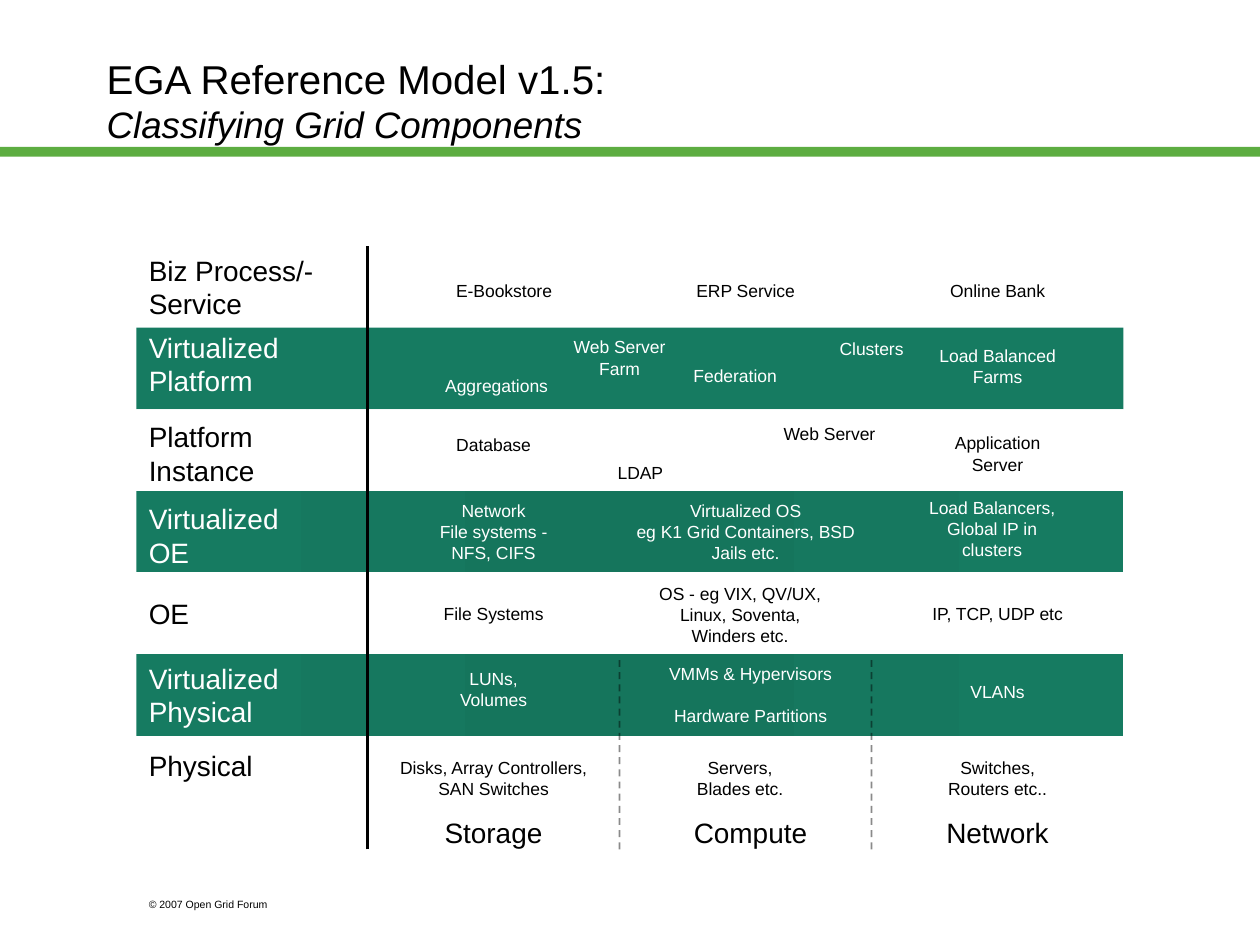
from copy import deepcopy

from lxml.etree import SubElement
from pptx import Presentation
from pptx.dml.color import RGBColor
from pptx.enum.dml import MSO_LINE
from pptx.enum.shapes import MSO_CONNECTOR, MSO_SHAPE
from pptx.enum.text import MSO_ANCHOR, PP_ALIGN
from pptx.oxml.ns import qn
from pptx.util import Cm, Pt

BLACK = RGBColor(0x00, 0x00, 0x00)
WHITE = RGBColor(0xFF, 0xFF, 0xFF)
LIME = RGBColor(0x5D, 0xAD, 0x41)
GREEN = RGBColor(0x16, 0x7B, 0x61)
DEEP_GREEN = RGBColor(0x15, 0x75, 0x5C)

ROW_HEIGHT = 1.645
STORAGE, COMPUTE, NETWORK = 7.2, 12.28, 17.36
NARROW, MEDIUM, WIDE = 2.97, 4.02, 5.08

# Each label: text, lines, offset from the middle of its row, width.
ROW_LABELS = [
    ("Biz Process/-Service", 2, 0, 4.65),
    ("Virtualized\nPlatform", 2, -0.09, 3.81),
    ("Platform Instance", 2, 0.07, 3.81),
    ("Virtualized\nOE", 2, 0.07, 3.81),
    ("OE", 1, 0, 3.81),
    ("Virtualized\nPhysical", 2, 0, 3.81),
    ("Physical", 1, -0.23, 3.81),
]

# Each component: row, text, lines, centre, offset from the middle of its row, width.
COMPONENTS = [
    (0, "E-Bookstore", 1, 7.41, 0.07, NARROW),
    (0, "ERP Service", 1, 12.5 - 0.22 + 0.0, 0.07, NARROW),
    (0, "Online Bank", 1, NETWORK, 0.07, NARROW),
    (1, "Aggregations", 1, 7.26, 0.35, NARROW),
    (1, "Web Server Farm", 2, 9.74, -0.22, NARROW),
    (1, "Federation", 1, 12.07, 0.15, NARROW),
    (1, "Clusters", 1, 14.82, -0.41, NARROW),
    (1, "Load Balanced Farms", 2, NETWORK, -0.04, NARROW),
    (2, "Database", 1, STORAGE, -0.12, NARROW),
    (2, "LDAP", 1, 10.16, 0.46, NARROW),
    (2, "Web Server", 1, 13.97, -0.33, NARROW),
    (2, "Application Server", 2, NETWORK, 0.07, NARROW),
    (3, "Network\nFile systems -\nNFS, CIFS", 3, STORAGE, 0, WIDE),
    (3, "Virtualized OS\neg K1 Grid Containers, BSD Jails etc.", 3, COMPUTE, 0, WIDE),
    (3, "Load Balancers, Global IP in\nclusters", 3, 17.25, -0.06, MEDIUM),
    (4, "File Systems", 1, STORAGE, 0, NARROW),
    (4, "OS - eg VIX, QV/UX, Linux, Soventa, Winders etc.", 3, 12.17, 0.03, MEDIUM),
    (4, "IP, TCP, UDP etc", 1, NETWORK, 0, 3.39),
    (5, "LUNs,\nVolumes", 2, STORAGE, -0.12, WIDE),
    (5, "VMMs & Hypervisors\nHardware Partitions", 3, 12.38, 0, 4.87),
    (5, "VLANs", 1, NETWORK, -0.06, 3.39),
    (6, "Disks, Array Controllers, SAN Switches", 2, STORAGE, 0.04, WIDE),
    (6, "Servers,\nBlades etc.", 2, 12.17, 0.04, MEDIUM),
    (6, "Switches, Routers etc..", 2, NETWORK, 0.04, NARROW),
]

COLUMN_LABELS = [("Storage", STORAGE), ("Compute", 12.38), ("Network", NETWORK)]


def add_text(slide, text, left, top, width, height, size, color=BLACK, align=PP_ALIGN.LEFT):
    """Add a wrapped, vertically centred text box and return its frame."""
    frame = slide.shapes.add_textbox(Cm(left), Cm(top), Cm(width), Cm(height)).text_frame
    frame.word_wrap = True
    frame.vertical_anchor = MSO_ANCHOR.MIDDLE
    frame.text = text
    for paragraph in frame.paragraphs:
        paragraph.alignment = align
        for run in paragraph.runs:
            run.font.name = "Arial"
            run.font.size = Pt(size)
            run.font.color.rgb = color
    return frame


def add_band(slide, left, top, width, height, color):
    """Add a plain rectangle without outline."""
    shape = slide.shapes.add_shape(MSO_SHAPE.RECTANGLE, Cm(left), Cm(top), Cm(width), Cm(height))
    shape.shadow.inherit = False
    shape.line.fill.background()
    shape.fill.solid()
    shape.fill.fore_color.rgb = color
    return shape


def shade_band(shape):
    """Give a band a gradient that is slightly deeper in the middle."""
    shape.fill.gradient()
    stop_list = shape.element.spPr.find(qn("a:gradFill")).find(qn("a:gsLst"))
    stop_list.append(deepcopy(stop_list[0]))
    shape.fill.gradient_angle = 180
    stops = zip(shape.fill.gradient_stops, (0, 0.5, 1), (GREEN, DEEP_GREEN, GREEN))
    for stop, position, color in stops:
        stop.position = position
        stop.color.rgb = color


def add_divider(slide, x, top, bottom, dashed):
    """Add a vertical line, solid or dashed and translucent."""
    line = slide.shapes.add_connector(MSO_CONNECTOR.STRAIGHT, Cm(x), Cm(bottom), Cm(x), Cm(top))
    line.line.color.rgb = BLACK
    line.line.width = Pt(1 if dashed else 1.5)
    if dashed:
        line.line.dash_style = MSO_LINE.DASH
        color = next(line.element.spPr.iter(qn("a:srgbClr")))
        SubElement(color, qn("a:alpha")).set("val", "46000")
    SubElement(line.element.spPr, qn("a:effectLst"))


def add_header(slide, left, top, width, height):
    """Add the green rule and the two-line title."""
    add_band(slide, 0, 2.96, 25.4, 0.2, LIME)
    frame = add_text(slide, "EGA Reference Model v1.5:\vClassifying Grid Components",
                     left, top, width, height, 23)
    subtitle = frame.paragraphs[0].runs[1]
    subtitle.font.size = Pt(21)
    subtitle.font.italic = True


def add_model(slide, left, top, width):
    """Add the layered grid of components."""
    middles = [top + ROW_HEIGHT * (row + 0.5) for row in range(len(ROW_LABELS))]
    text_colors = [WHITE if row % 2 else BLACK for row in range(len(ROW_LABELS))]
    for row in range(1, 6):
        band = add_band(slide, left, top + ROW_HEIGHT * row, width, ROW_HEIGHT,
                        GREEN if row % 2 else WHITE)
        if row in (3, 5):
            shade_band(band)
    for row, (text, lines, offset, label_width) in enumerate(ROW_LABELS):
        height = 0.26 + 0.68 * lines
        add_text(slide, text, left, middles[row] + offset - height / 2,
                 label_width, height, 16, text_colors[row])
    for row, text, lines, centre, offset, cell_width in COMPONENTS:
        height = 0.27 + 0.42 * lines
        frame = add_text(slide, text, left + centre - cell_width / 2,
                         middles[row] + offset - height / 2, cell_width, height,
                         10, text_colors[row], PP_ALIGN.CENTER)
        if text.startswith("VMMs"):
            frame.paragraphs[1].space_before = Pt(12)
    for text, centre in COLUMN_LABELS:
        add_text(slide, text, left + centre - 1.8, top + 11.34, 3.6, 0.94, 16,
                 align=PP_ALIGN.CENTER)
    for column in range(3):
        dashed = column > 0
        add_divider(slide, left + 4.66 + WIDE * column,
                    top + (8.3 if dashed else 0), top + 12.16, dashed)


def add_footer(slide, left, top, width, height):
    """Add the copyright line."""
    add_text(slide, "© 2007 Open Grid Forum", left, top, width, height, 6)


def main():
    """Build and save the slide."""
    presentation = Presentation()
    presentation.slide_width = Cm(25.4)
    presentation.slide_height = Cm(19.05)
    slide = presentation.slides.add_slide(presentation.slide_layouts[6])
    add_footer(slide, 2.75, 17.98, 3.81, 0.51)
    add_model(slide, 2.75, 4.96, 19.9)
    add_header(slide, 1.9, 0.43, 21.6, 3.18)
    presentation.save("out.pptx")


if __name__ == "__main__":
    main()
